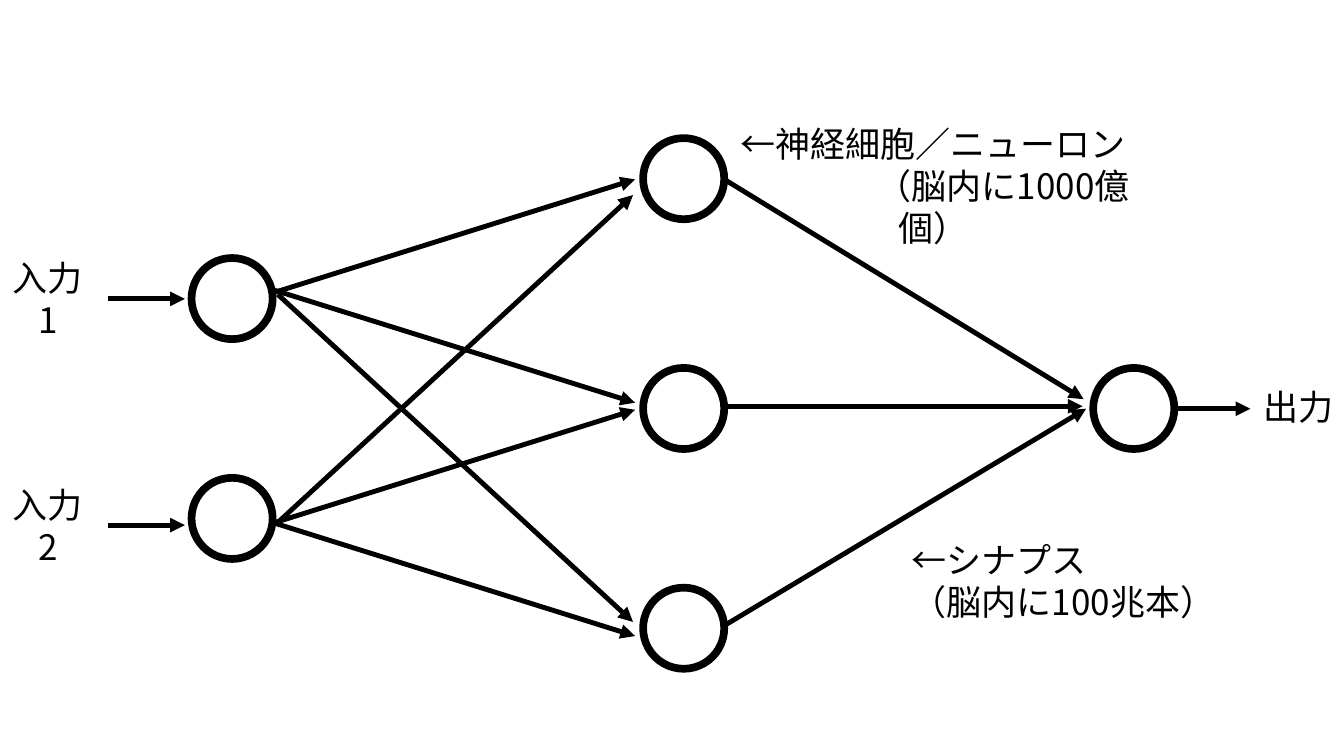
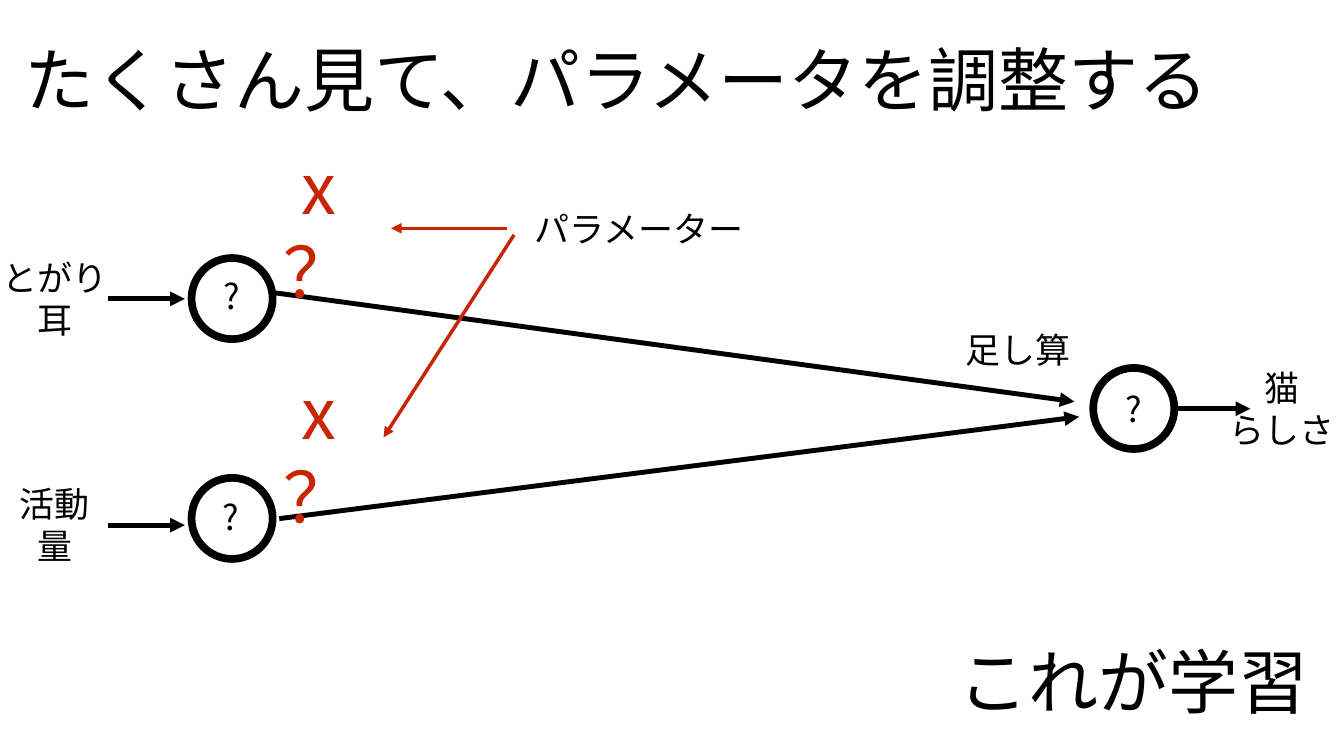
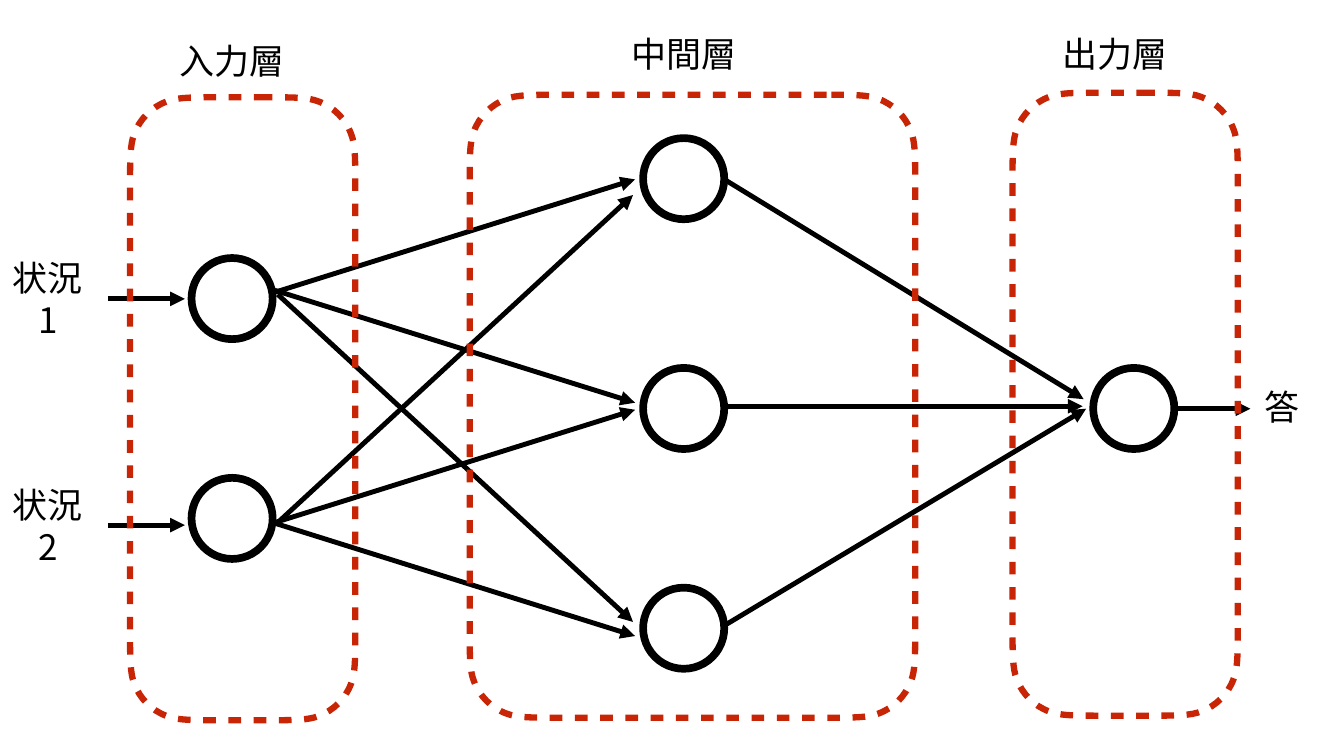
from lxml import etree
from pptx import Presentation
from pptx.dml.color import RGBColor
from pptx.enum.shapes import MSO_CONNECTOR, MSO_SHAPE
from pptx.enum.text import MSO_ANCHOR, MSO_AUTO_SIZE, PP_ALIGN
from pptx.oxml.ns import qn
from pptx.util import Pt

COLORS = {"ink": "000000", "accent": "C82506", "page": "FFFFFF"}
FONT = "Noto Sans CJK JP"
LEFT, CENTER = PP_ALIGN.LEFT, PP_ALIGN.CENTER
MIDDLE, GROW = MSO_ANCHOR.MIDDLE, MSO_AUTO_SIZE.SHAPE_TO_FIT_TEXT
STRAIGHT, ELLIPSE = MSO_CONNECTOR.STRAIGHT, MSO_SHAPE.OVAL

TITLE_ONLY, BLANK = 5, 6
SMALL, LARGE = 50, 100
ONE_LINE, TWO_LINES, LARGE_LINE = 61.2, 136.1, 111.6
INSET = 5.76

# Network geometry, relative to the top left of the network
NETWORK = (154.1, 197.3)
NODE = 115.9
INPUT_NODES = [(119.5, 171.3), (119.5, 485.3)]
HIDDEN_NODES = [(764.6, 328.3), (764.6, 642.2), (764.6, 0)]
OUTPUT_NODE = (1407.6, 328.3)
OUTER_ARROWS = [
    (0, 229.7, 110.1, 229.7),
    (0, 552.9, 110.1, 552.9),
    (1522.8, 386.6, 1632.2, 386.6),
]
LAYER_ARROWS = [
    (238.3, 220.3, 753.1, 59),
    (238.3, 549.3, 753.1, 388.1),
    (878.4, 383, 1392.5, 383),
    (238.3, 217.4, 753.1, 378),
    (238.3, 550.1, 753.1, 711.3),
    (878.4, 57.6, 1393.9, 372.9),
    (242.6, 549.3, 750.2, 81.3),
    (242.6, 223.2, 750.2, 691.2),
    (879.8, 696.9, 1397.5, 386.6),
]
DIRECT_ARROWS = [(238.3, 221, 1380.9, 376.5), (244.8, 543.6, 1387.4, 398.1)]

# Top left corner of a layer frame: points of three joined Bezier curves
CORNER = [
    (126.7, 0), (89.3, 0), (67, 0), (52.4, 6),
    (31, 13.8), (13.8, 31), (6, 52.4),
    (0, 67), (0, 89.3), (0, 126.7),
]


def color(name):
    return RGBColor.from_string(COLORS[name])


def write_text(shape, text, size=SMALL, ink="ink", align=CENTER, wrap=False,
               right_inset=INSET, last_indent=0):
    """Fill a shape with one paragraph for each line of text."""
    frame = shape.text_frame
    frame.word_wrap = wrap
    frame.auto_size = GROW
    frame.vertical_anchor = MIDDLE
    frame.margin_left = frame.margin_top = frame.margin_bottom = Pt(INSET)
    frame.margin_right = Pt(right_inset)
    for index, line in enumerate(text.split("\n")):
        para = frame.add_paragraph() if index else frame.paragraphs[0]
        para.alignment = align
        para.space_before = Pt(0)
        span = para.add_run()
        span.text = line
        span.font.size = Pt(size)
        span.font.name = FONT
        span.font.color.rgb = color(ink)
        east_asian = etree.SubElement(span.font._element, qn("a:ea"))
        east_asian.set("typeface", FONT)
    if last_indent:
        properties = para._p.get_or_add_pPr()
        properties.set("marL", "0")
        properties.set("indent", str(Pt(last_indent)))


def add_label(page, text, box, **text_format):
    label = page.shapes.add_textbox(*(Pt(value) for value in box))
    write_text(label, text, **text_format)


def add_title(page, text, box):
    title = page.shapes.title
    title.left, title.top, title.width, title.height = (Pt(value) for value in box)
    write_text(title, text, size=LARGE)


def add_arrow(page, ends, origin=(0, 0), ink="ink", weight=7):
    left, top = origin
    x1, y1, x2, y2 = ends
    arrow = page.shapes.add_connector(
        STRAIGHT, Pt(left + x1), Pt(top + y1), Pt(left + x2), Pt(top + y2))
    arrow.line.width = Pt(weight)
    arrow.line.color.rgb = color(ink)
    head = etree.SubElement(arrow.line._get_or_add_ln(), qn("a:tailEnd"))
    head.set("type", "triangle")
    etree.SubElement(arrow._element.spPr, qn("a:effectLst"))


def add_node(page, origin, place):
    node = page.shapes.add_shape(
        ELLIPSE, Pt(origin[0] + place[0]), Pt(origin[1] + place[1]), Pt(NODE), Pt(NODE))
    node.shadow.inherit = False
    node.fill.background()
    node.line.width = Pt(11)
    node.line.color.rgb = color("ink")


def add_network(page, origin, hidden, links):
    for place in INPUT_NODES + hidden + [OUTPUT_NODE]:
        add_node(page, origin, place)
    for ends in links + OUTER_ARROWS:
        add_arrow(page, ends, origin)


def add_input_labels(page, word):
    for number, top in enumerate((396, 720), start=1):
        add_label(page, f"{word}{number}", (5.8, top, 145.4, ONE_LINE),
                  wrap=True, right_inset=26)


def curve_corners(frame):
    """Turn the nine segments after each straight side into three curves."""
    segments = list(frame._element.iter(qn("a:lnTo")))
    for index in range(0, len(segments), 10):
        for first in (index + 1, index + 4, index + 7):
            curve = etree.Element(qn("a:cubicBezTo"))
            segments[first].addprevious(curve)
            for segment in segments[first:first + 3]:
                curve.append(segment[0])
                segment.getparent().remove(segment)


def add_layer_frame(page, box):
    """Dashed outline with soft corners, mirrored from the top left one."""
    left, top, width, height = box
    outline = [(width - CORNER[0][0], 0)]
    outline += CORNER
    outline += [(x, height - y) for x, y in reversed(CORNER)]
    outline += [(width - x, height - y) for x, y in CORNER]
    outline += [(width - x, y) for x, y in reversed(CORNER)]
    points = [(Pt(left + x), Pt(top + y)) for x, y in outline]
    builder = page.shapes.build_freeform(*points[0])
    builder.add_line_segments(points[1:], close=True)
    frame = builder.convert_to_shape()
    curve_corners(frame)
    frame.shadow.inherit = False
    frame.fill.background()
    frame.line.width = Pt(9)
    frame.line.color.rgb = color("accent")
    dashes = etree.SubElement(frame.line._get_or_add_ln(), qn("a:custDash"))
    etree.SubElement(dashes, qn("a:ds"), d="200000", sp="200000")


def add_page(deck, layout):
    page = deck.slides.add_slide(deck.slide_layouts[layout])
    page.background.fill.solid()
    page.background.fill.fore_color.rgb = color("page")
    return page


def build_neuron_page(deck):
    page = add_page(deck, BLANK)
    add_network(page, NETWORK, HIDDEN_NODES, LAYER_ARROWS)
    add_label(page, "←神経細胞／ニューロン\n（脳内に1000億個）",
              (1032.5, 197.3, 693.4, TWO_LINES),
              wrap=True, right_inset=98, last_indent=4 * SMALL)
    add_label(page, "←シナプス\n（脳内に100兆本）",
              (1296.7, 761, 460.8, TWO_LINES), align=LEFT)
    add_input_labels(page, "入力")
    add_label(page, "出力", (1799.3, 549.4, 112.3, ONE_LINE))


def build_learning_page(deck):
    page = add_page(deck, TITLE_ONLY)
    add_network(page, NETWORK, [], DIRECT_ARROWS)

    # Inputs and output
    for text, left, top, width in (
            ("とがり\n耳", -2.2, 358.6, 162),
            ("活動\n量", 22.3, 681.8, 112.3),
            ("猫\nらしさ", 1750.3, 515.5, 162)):
        add_label(page, text, (left, top, width, TWO_LINES))
    for left, top in ((311, 391.7), (308.9, 707), (1599.1, 553)):
        add_label(page, "?", (left, top, 41, ONE_LINE))

    # Weights
    for top in (270.7, 592.6):
        add_label(page, "x？", (398.9, top, 165.6, LARGE_LINE),
                  size=LARGE, ink="accent", wrap=True, right_inset=58)
    add_label(page, "足し算", (1373, 468.7, 162, ONE_LINE))
    add_label(page, "パラメーター", (758.2, 295.2, 310.3, ONE_LINE))
    for ends in ((725, 326.2, 558.7, 326.2), (734.4, 335.5, 547.9, 625)):
        add_arrow(page, ends, ink="accent", weight=5)

    # Title and conclusion
    add_title(page, "たくさん見て、パラメータを調整する", (28.8, 56.2, 1704.2, LARGE_LINE))
    add_label(page, "これが学習", (1363.7, 916.6, 511.9, LARGE_LINE), size=LARGE)


def build_layer_page(deck):
    page = add_page(deck, BLANK)
    add_network(page, NETWORK, HIDDEN_NODES, LAYER_ARROWS)
    add_input_labels(page, "状況")
    add_label(page, "答", (1800, 550.1, 61.9, ONE_LINE))
    for text, left, top in (
            ("入力層", 250.6, 56.2), ("中間層", 895.7, 46.1), ("出力層", 1511.3, 46.1)):
        add_label(page, text, (left, top, 162, ONE_LINE))
    for left, top, width in (
            (185.8, 139, 321.8), (671, 135.4, 636.5), (1446.5, 132.5, 321.8)):
        add_layer_frame(page, (left, top, width, 889.9))


def main():
    deck = Presentation()
    deck.slide_width, deck.slide_height = Pt(1920), Pt(1080)
    build_neuron_page(deck)
    build_learning_page(deck)
    build_layer_page(deck)
    deck.save("out.pptx")


if __name__ == "__main__":
    main()
